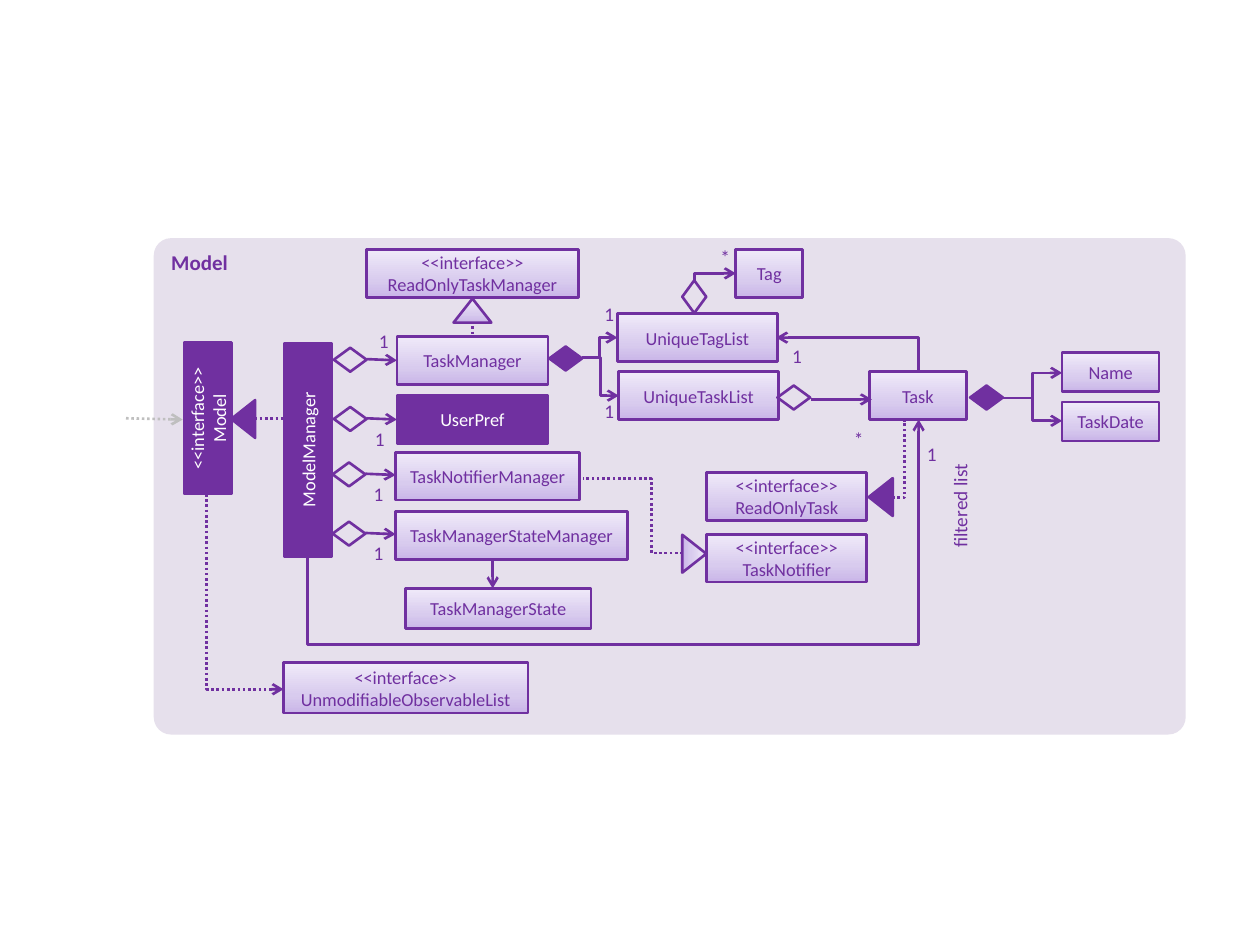
from dataclasses import dataclass

from lxml import etree
from pptx import Presentation
from pptx.dml.color import RGBColor
from pptx.enum.dml import MSO_LINE
from pptx.enum.shapes import MSO_CONNECTOR, MSO_SHAPE
from pptx.enum.text import MSO_ANCHOR, PP_ALIGN
from pptx.oxml.ns import qn
from pptx.util import Inches, Pt

RECTANGLE, ROUNDED = MSO_SHAPE.RECTANGLE, MSO_SHAPE.ROUNDED_RECTANGLE
TRIANGLE, DIAMOND = MSO_SHAPE.ISOSCELES_TRIANGLE, MSO_SHAPE.FLOWCHART_DECISION
STRAIGHT, ELBOW = MSO_CONNECTOR.STRAIGHT, MSO_CONNECTOR.ELBOW
LEFT, CENTER, RIGHT = PP_ALIGN.LEFT, PP_ALIGN.CENTER, PP_ALIGN.RIGHT
TOP, MIDDLE = MSO_ANCHOR.TOP, MSO_ANCHOR.MIDDLE
DOTTED = MSO_LINE.ROUND_DOT


@dataclass(frozen=True)
class Theme:
    font: str = "Calibri"
    purple: str = "7030A0"
    panel: str = "E6E0EC"
    white: str = "FFFFFF"
    gray: str = "BFBFBF"
    gradient: tuple = ((0, "C9B5E8"), (35, "D8CBEE"), (100, "F0EAF9"))
    title_size: float = 12
    label_size: float = 11
    box_size: float = 10.5
    line_width: float = 1.5


theme = Theme()
presentation = Presentation()
presentation.slide_width, presentation.slide_height = Inches(10), Inches(7.5)
slide = presentation.slides.add_slide(presentation.slide_layouts[6])
unit = presentation.slide_width / 10  # ten columns across the slide


def add_item(kind, box, text="", *, fill=None, line=theme.purple, color=theme.purple,
             size=theme.box_size, bold=False, align=CENTER, anchor=MIDDLE,
             rotation=0, margin=None):
    """Add a shape, or a text box when kind is None, with its text and format."""
    place = [round(value * unit) for value in box]
    if kind is None:
        shape = slide.shapes.add_textbox(*place)
    else:
        shape = slide.shapes.add_shape(kind, *place)
        shape.shadow.inherit = False
        if fill == theme.gradient:
            shape.fill.gradient()
            gradient = shape._element.spPr.find(qn("a:gradFill"))
            stops = gradient.find(qn("a:gsLst"))
            for stop in list(stops):
                stops.remove(stop)
            for position, stop_color in fill:
                stop = etree.SubElement(stops, qn("a:gs"), pos=str(position * 1000))
                etree.SubElement(stop, qn("a:srgbClr"), val=stop_color)
            gradient.find(qn("a:lin")).set("ang", "16200000")
        elif fill:
            shape.fill.solid()
            shape.fill.fore_color.rgb = RGBColor.from_string(fill)
        else:
            shape.fill.background()
        if line:
            shape.line.color.rgb = RGBColor.from_string(line)
            shape.line.width = Pt(theme.line_width)
        else:
            shape.line.fill.background()
    shape.rotation = rotation
    if text:
        frame = shape.text_frame
        frame.word_wrap = True
        frame.vertical_anchor = anchor
        if margin is not None:
            frame.margin_left = frame.margin_right = margin
            frame.margin_top = frame.margin_bottom = margin
        frame.text = text
        for paragraph in frame.paragraphs:
            paragraph.alignment = align
            font = paragraph.runs[0].font
            font.name, font.size, font.bold = theme.font, Pt(size), bold
            font.color.rgb = RGBColor.from_string(color)
    return shape


def connect(start, end, kind=STRAIGHT, *, turn=0, corner=False, bend=None,
            dash=None, arrow=True, color=theme.purple):
    """Join two points; turn rotates the route, corner gives it a single bend."""
    (x1, y1), (x2, y2) = start, end
    middle_x, middle_y = (x1 + x2) / 2, (y1 + y2) / 2
    across, down = x2 - x1, y2 - y1
    across, down = {0: (across, down), 90: (down, -across), 270: (-down, across)}[turn]
    ends = (middle_x - across / 2, middle_y - down / 2,
            middle_x + across / 2, middle_y + down / 2)
    connector = slide.shapes.add_connector(kind, *[round(value * unit) for value in ends])
    properties = connector._element.spPr
    if turn:
        properties.find(qn("a:xfrm")).set("rot", str(turn * 60000))
    geometry = properties.find(qn("a:prstGeom"))
    if corner:
        geometry.set("prst", "bentConnector2")
    if bend is not None:
        guides = geometry.find(qn("a:avLst"))
        if guides is None:
            guides = etree.SubElement(geometry, qn("a:avLst"))
        etree.SubElement(guides, qn("a:gd"), name="adj1", fmla=f"val {round(bend * 100000)}")
    connector.line.color.rgb = RGBColor.from_string(color)
    connector.line.width = Pt(theme.line_width)
    if dash:
        connector.line.dash_style = dash
    if arrow:
        etree.SubElement(properties.find(qn("a:ln")), qn("a:tailEnd"), type="arrow")
    etree.SubElement(properties, qn("a:effectLst"))


# Panel
panel = add_item(ROUNDED, (1.22, 1.89, 8.19, 3.94), "Model", fill=theme.panel, line=None,
                 size=theme.title_size, bold=True, align=LEFT, anchor=TOP)
panel.adjustments[0] = 0.035

# Long routes
connect((7.08, 3.95), (7.18, 3.34), ELBOW, corner=True, dash=DOTTED, arrow=False)
connect((2.44, 4.42), (7.29, 3.33), ELBOW, turn=90, bend=-0.636)
connect((1, 3.32), (1.45, 3.33), dash=DOTTED, color=theme.gray)
connect((2.02, 3.32), (2.26, 3.32), dash=DOTTED, arrow=False)
connect((1.64, 3.92), (2.25, 5.47), ELBOW, turn=270, corner=True, dash=DOTTED)
connect((7.29, 2.95), (6.16, 2.68), ELBOW, turn=270, corner=True)
connect((5.42, 4.39), (4.63, 3.8), ELBOW, bend=0.315, dash=DOTTED, arrow=False)
connect((3.75, 2.59), (3.75, 2.68), dash=DOTTED, arrow=False)
connect((3.91, 4.45), (3.91, 4.67))

# Solid boxes
for box, text, rotation in (
    ((1.6, 3.38, 1.69, 0.38), "ModelManager", 270),
    ((1.05, 3.13, 1.2, 0.38), "<<interface>>\nModel", 270),
    ((3.15, 3.14, 1.2, 0.38), "UserPref", 0),
):
    add_item(RECTANGLE, box, text, fill=theme.purple, color=theme.white, rotation=rotation)

# Class boxes
row = 0.38
for left, top, width, height, text in (
    (2.91, 1.98, 1.68, row, "<<interface>>\nReadOnlyTaskManager"),
    (3.15, 2.67, 1.2, row, "TaskManager"),
    (3.14, 3.59, 1.46, row, "TaskNotifierManager"),
    (3.14, 4.06, 1.84, row, "TaskManagerStateManager"),
    (3.22, 4.67, 1.47, 0.32, "TaskManagerState"),
    (2.25, 5.26, 1.94, 0.4, "<<interface>>\nUnmodifiableObservableList"),
    (5.84, 1.98, 0.53, row, "Tag"),
    (4.9, 2.49, 1.27, row, "UniqueTagList"),
    (4.91, 2.95, 1.27, row, "UniqueTaskList"),
    (6.9, 2.95, 0.77, row, "Task"),
    (5.61, 3.75, 1.27, row, "<<interface>>\nReadOnlyTask"),
    (5.61, 4.24, 1.27, row, "<<interface>>\nTaskNotifier"),
    (8.43, 2.8, 0.77, 0.31, "Name"),
    (8.43, 3.19, 0.77, 0.31, "TaskDate"),
):
    add_item(RECTANGLE, (left, top, width, height), text, fill=theme.gradient)

# Inheritance triangles
for left, top, rotation, fill in (
    (1.78, 3.23, 270, theme.purple),
    (6.84, 3.85, 270, theme.purple),
    (3.6, 2.37, 0, theme.gradient),
    (5.36, 4.3, 90, theme.gradient),
):
    add_item(TRIANGLE, (left, top, 0.3, 0.19), fill=fill, rotation=rotation)

# Parts held by ModelManager
for left, top in ((2.65, 2.76), (2.65, 3.23), (2.64, 3.67), (2.64, 4.14)):
    connect((left + 0.26, top + 0.09), (left + 0.5, top + 0.1))
    add_item(DIAMOND, (left, top, 0.26, 0.19))

# Aggregation and composition diamonds
for left, top, rotation, fill in (
    (4.36, 2.75, 0, theme.purple),
    (7.7, 3.06, 0, theme.purple),
    (6.17, 3.06, 0, None),
    (5.38, 2.26, 270, None),
):
    add_item(DIAMOND, (left, top, 0.26, 0.19), fill=fill, rotation=rotation)

# Arrows from the diamonds
for start, ends in (
    ((4.62, 2.84), ((4.9, 2.68), (4.91, 3.14))),
    ((7.96, 3.16), ((8.43, 2.96), (8.43, 3.34))),
):
    for end in ends:
        connect(start, end, ELBOW)
connect((6.44, 3.17), (6.92, 3.17))
connect((5.51, 2.23), (5.84, 2.17), ELBOW, turn=90, corner=True)

# Multiplicities and role
for text, places in (
    ("1", ((4.73, 2.4), (4.73, 3.17), (6.22, 2.73), (7.29, 3.51),
           (2.94, 2.61), (2.91, 3.39), (2.9, 3.83), (2.9, 4.3))),
    ("*", ((5.65, 1.95), (6.71, 3.39))),
):
    for left, top in places:
        add_item(None, (left, top, 0.21, 0.2), text, size=theme.label_size,
                 anchor=TOP, margin=0)
add_item(None, (7.14, 3.92, 0.96, 0.29), "filtered list", size=theme.label_size,
         align=RIGHT, anchor=TOP, rotation=270)

presentation.save("out.pptx")
